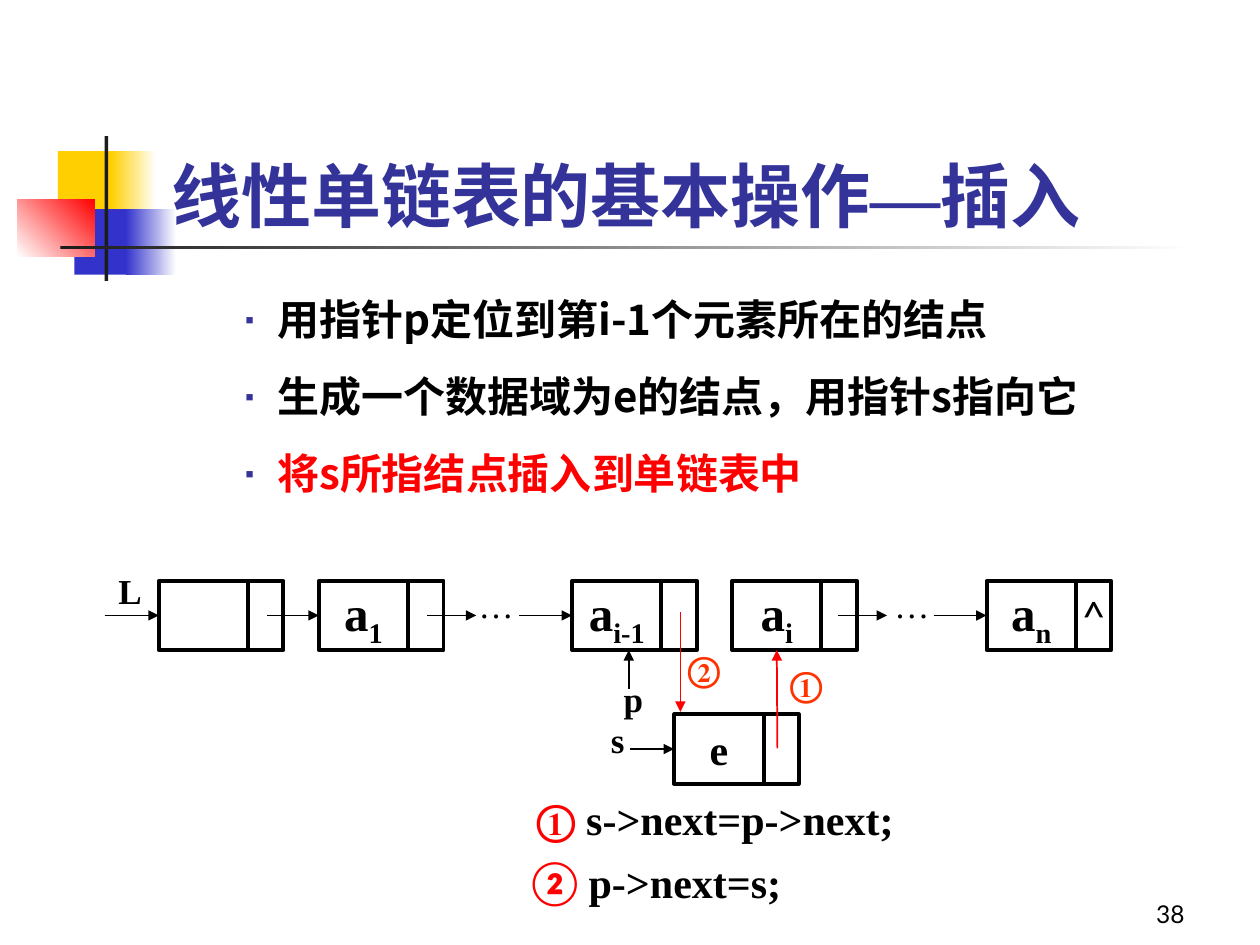
from lxml import etree
from pptx import Presentation
from pptx import util as u
from pptx.dml.color import RGBColor
from pptx.enum import shapes, text
from pptx.oxml.ns import qn

HUES = dict(black="000000", white="FFFFFF", red="FF0000", orange="FF3300",
            gold="FFCF01", blue="3333CC", navy="333399", dark="1C1C1C")
ROMAN, LATO, NOTO = "Times New Roman", "Lato", "Noto Sans CJK SC"
LEFT, MID, RIGHT = text.PP_ALIGN.LEFT, text.PP_ALIGN.CENTER, text.PP_ALIGN.RIGHT
TOP, CENTER, BASE = (text.MSO_ANCHOR.TOP, text.MSO_ANCHOR.MIDDLE,
                     text.MSO_ANCHOR.BOTTOM)
DATA, LINK, TALL = 0.71, 0.28, 0.55  # node cell sizes
ROW = 4.61


def hue(name):
    return RGBColor.from_string(HUES[name])


def child(parent, tag, **values):
    return etree.SubElement(parent, qn(tag), values)


def apply(item, values):
    for key, value in values.items():
        setattr(item, key, value)


def place(item, box):
    apply(item, dict(zip(("left", "top", "width", "height"),
                         map(u.Inches, box))))


class Deck:
    def __init__(self):
        self.prs = Presentation()
        apply(self.prs, dict(slide_width=u.Inches(10),
                             slide_height=u.Inches(7.5)))
        self.slide = self.prs.slides.add_slide(self.prs.slide_layouts[1])
        self.items = self.slide.shapes

    def frame(self, item, anchor=TOP, wrap=True):
        apply(item.text_frame, dict(
            word_wrap=wrap, vertical_anchor=anchor,
            auto_size=text.MSO_AUTO_SIZE.NONE,
            margin_left=u.Inches(0.1), margin_right=u.Inches(0.1),
            margin_top=u.Inches(0.05), margin_bottom=u.Inches(0.05)))
        return item.text_frame

    def run(self, para, words, size=20, face=ROMAN, color="black", bold=True,
            sub=False):
        run = para.add_run()
        run.text = words
        apply(run.font, dict(size=u.Pt(size), bold=bold, name=face))
        run.font.color.rgb = hue(color)
        child(run.font._element, "a:ea", typeface=face)
        if sub:
            run.font._element.set("baseline", "-25000")

    def title(self, box, parts):
        item = self.items.title
        place(item, box)
        para = self.frame(item, BASE).paragraphs[0]
        para.alignment = LEFT
        for words, face in parts:
            self.run(para, words, 40, face, "navy")

    def body(self, box, rows):
        item = self.slide.placeholders[1]
        place(item, box)
        frame = self.frame(item)
        for i, (words, color) in enumerate(rows):
            para = frame.add_paragraph() if i else frame.paragraphs[0]
            para.level = 1
            ppr = para._p.get_or_add_pPr()
            ppr.set("marL", str(u.Inches(0.81)))
            ppr.set("indent", str(u.Inches(-0.31)))
            child(child(ppr, "a:buClr"), "a:srgbClr", val=HUES["navy"])
            child(ppr, "a:buSzPct", val="55000")
            child(ppr, "a:buFont", typeface=NOTO)
            child(ppr, "a:buChar", char="▪")
            apply(para, dict(alignment=LEFT, line_spacing=u.Pt(29),
                             space_before=u.Pt(15 if i else 0)))
            self.run(para, words, 24, NOTO, color)

    def rect(self, box, fill=None, fade=None, angle=0):
        """Add a rectangle: plain, filled, or fading from fill to fade."""
        item = self.items.add_shape(shapes.MSO_SHAPE.RECTANGLE,
                                    *map(u.Inches, box))
        item.shadow.inherit = False
        if fade:
            item.fill.gradient()
            item.fill.gradient_angle = angle
            for stop, name, spot in zip(item.fill.gradient_stops,
                                        (fill, fade), (0, 1)):
                stop.color.rgb = hue(name)
                stop.position = spot
        elif fill:
            item.fill.solid()
            item.fill.fore_color.rgb = hue(fill)
        else:
            item.fill.background()
        if fill:
            item.line.fill.background()
        else:
            item.line.color.rgb = hue("black")
            item.line.width = u.Pt(2.25)
        return item

    def cell(self, box, parts=()):
        item = self.rect(box)
        para = self.frame(item, CENTER, False).paragraphs[0]
        para.alignment = MID
        for words, style in parts:
            self.run(para, words, **style)
        return item

    def node(self, x, y, name="", sub="", size=28, end=""):
        """Add a list node and give back its data cell."""
        parts = [(name, dict(size=size))] if name else []
        if sub:
            parts.append((sub, dict(size=size, sub=True)))
        data = self.cell((x, y, DATA, TALL), parts)
        tip = [(end, dict(size=24, face=LATO, bold=False))] if end else []
        self.cell((x + DATA, y, LINK, TALL), tip)
        return data

    def label(self, box, *parts, wrap=True, anchor=TOP, align=LEFT):
        item = self.items.add_textbox(*map(u.Inches, box))
        para = self.frame(item, anchor, wrap).paragraphs[0]
        para.alignment = align
        for words, style in parts:
            self.run(para, words, **style)

    def arrow(self, x, y, x2, y2, color="black", width=0.75, to=None, side=1):
        line = self.items.add_connector(shapes.MSO_CONNECTOR.STRAIGHT,
                                        *map(u.Inches, (x, y, x2, y2)))
        if to:
            line.end_connect(to, side)
        line.line.color.rgb = hue(color)
        line.line.width = u.Pt(width)
        child(line.line._get_or_add_ln(), "a:tailEnd", type="triangle")
        child(line._element.spPr, "a:effectLst")


def main():
    deck = Deck()
    for look in (((0.46, 1.2, 0.48, 0.52), "gold"),
                 ((0.88, 1.2, 0.36, 0.52), "gold", "white"),
                 ((0.59, 1.66, 0.46, 0.52), "blue"),
                 ((1, 1.66, 0.4, 0.52), "blue", "white"),
                 ((0.14, 1.58, 0.61, 0.46), "white", "red", 45),
                 ((0.83, 1.08, 0.03, 1.15), "dark"),
                 ((0.48, 1.95, 9, 0.03), "dark", "white")):
        deck.rect(*look)
    deck.title((1.26, 0.68, 8.52, 1.25),
               (("线性单链表的基本操作", LATO), ("—", ROMAN), ("插入", LATO)))
    deck.body((1.29, 2.28, 8.5, 4.47),
              (("用指针p定位到第i-1个元素所在的结点", "black"),
               ("生成一个数据域为e的结点，用指针s指向它", "black"),
               ("将s所指结点插入到单链表中", "red")))

    head = deck.node(1.26, ROW)
    first = deck.node(2.53, ROW, "a", "1")
    prev = deck.node(4.54, ROW, "a", "i-1")
    here = deck.node(5.81, ROW, "a", "i")
    last = deck.node(7.83, ROW, "a", "n", end="^")
    new = deck.node(5.35, 5.67, "e", size=24)

    mid = ROW + TALL / 2
    for x, x2, to in ((0.83, 1.26, head), (2.12, 2.53, first),
                      (3.39, 3.78, None), (4.12, 4.54, prev),
                      (6.65, 7.04, None), (7.41, 7.83, last)):
        deck.arrow(x, mid, x2, mid, to=to)
    deck.arrow(5, 5.67 + TALL / 2, 5.35, 5.94, to=new)
    deck.arrow(4.99, 5.47, 4.99, 5.16, width=1)
    deck.arrow(5.4, 4.86, 5.4, 5.65, "red", 1)
    deck.arrow(6.17, 5.94, 6.17, 5.16, "red", 1, here, 2)

    plain, mark = dict(bold=False), dict(color="orange")
    code = dict(size=24)
    deck.label((0.84, 4.47, 0.38, 0.44), ("L", {}), wrap=False)
    for x in (3.7, 7):
        deck.label((x, 4.58, 0.75, 0.44), ("…", plain))
    deck.label((4.85, 5.33, 0.42, 0.44), ("p", {}))
    deck.label((4.75, 5.65, 0.42, 0.44), ("s", {}))
    deck.label((5.36, 5.09, 0.5, 0.44), ("②", mark))
    deck.label((6.17, 5.21, 0.46, 0.44), ("①", mark), wrap=False)
    deck.label((4.16, 6.25, 3.03, 0.5), ("① ", dict(size=24, color="red")),
               ("s->next=p->next;", code), wrap=False)
    deck.label((4.12, 6.75, 3.83, 0.5),
               ("② ", dict(size=24, color="red", face=LATO)),
               ("p->next=s;", code))
    deck.label((7.42, 6.92, 2.08, 0.5),
               ("38", dict(size=14, face=LATO, bold=False)),
               anchor=BASE, align=RIGHT)
    deck.prs.save("out.pptx")


if __name__ == "__main__":
    main()
